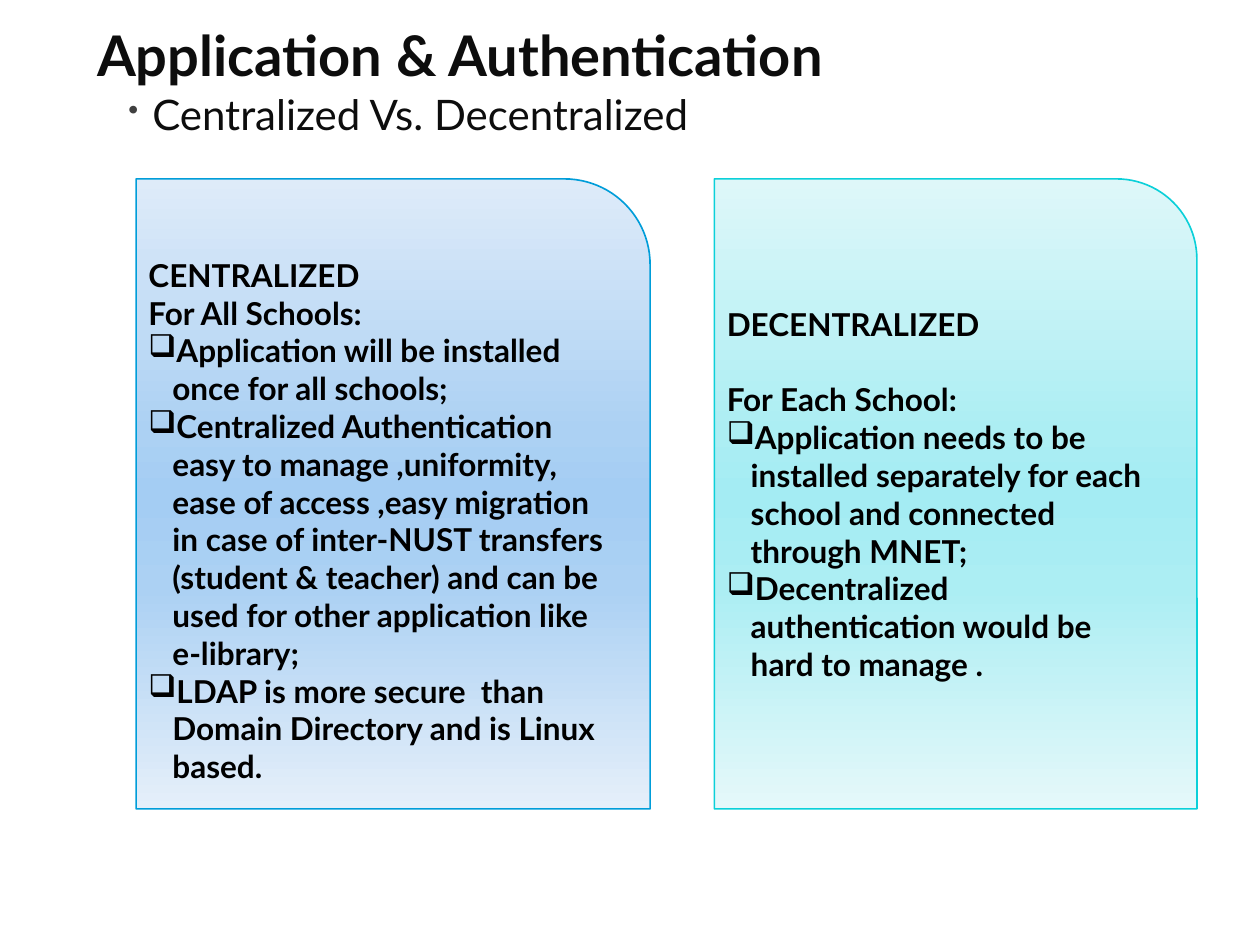
from pptx import Presentation, util as u
from pptx.dml.color import RGBColor
from pptx.enum import shapes, text
from pptx.oxml import parse_xml
from pptx.oxml.ns import nsdecls

TITLE = "Application & Authentication"
TOPIC = "Centralized Vs. Decentralized"
HEX = {"ink": "0D0D0D", "text": "000000", "dot": "404040"}
STOPS = (0, 40, 50, 65, 100)
CARDS = [
    {
        "left": 5.67, "wide": 3.83, "inset": 0.05, "gap": 21.6, "line": "0BD0D9",
        "fade": ("DEF7F9", "ACEEF3", "A4ECF3", "ACEEF3", "E5F8FA"),
        "heads": ("DECENTRALIZED", "For Each School:"),
        "items": (
            "Application needs to be installed separately for each school and connected through MNET;",
            "Decentralized authentication would be hard to manage .",
        ),
    },
    {
        "left": 1.08, "wide": 4.08, "inset": 0.47, "gap": 0, "line": "009DD9",
        "fade": ("DEEBF9", "ACD1F3", "A4CDF3", "ACD1F3", "E5EFFA"),
        "heads": ("CENTRALIZED", "For All Schools:"),
        "items": (
            "Application will be installed once for all schools;",
            "Centralized Authentication easy to manage ,uniformity, ease of access ,easy "
            "migration in case of inter-NUST transfers (student & teacher) and can be used "
            "for other application like e-library;",
            "LDAP is more secure  than Domain Directory and is Linux based.",
        ),
    },
]
TOP, HIGH = 1.42, 5
INDENT = 0.19


def apply(obj, vals):
    for key, val in vals.items():
        setattr(obj, key, val)


def write(para, words, size, ink, bold):
    run = para.add_run()
    run.text = words
    apply(run.font, {"name": "Lato", "size": u.Pt(size), "bold": bold})
    run.font.color.rgb = RGBColor.from_string(HEX[ink])
    para.alignment = text.PP_ALIGN.LEFT


def bullet(para, char, look=()):
    prop = para._p.get_or_add_pPr()
    prop.set("marL", str(u.Inches(INDENT)))
    prop.set("indent", str(-u.Inches(INDENT)))
    for part in (*look, f'<a:buChar {nsdecls("a")} char="{char}"/>'):
        prop.append(parse_xml(part))


def fade(shape, tones):
    stops = "".join(
        f'<a:gs pos="{pos * 1000}"><a:srgbClr val="{tone}"/></a:gs>'
        for pos, tone in zip(STOPS, tones)
    )
    shape.fill.background()
    prop = shape._element.spPr
    grad = parse_xml(
        f'<a:gradFill {nsdecls("a")} rotWithShape="1"><a:gsLst>{stops}</a:gsLst>'
        '<a:lin ang="5400000" scaled="0"/></a:gradFill>'
    )
    prop.replace(prop.find("{*}noFill"), grad)


def card(slide, data):
    box = [u.Inches(n) for n in (data["left"], TOP, data["wide"], HIGH)]
    shape = slide.shapes.add_shape(shapes.MSO_SHAPE.ROUND_1_RECTANGLE, *box)
    shape.shadow.inherit = False
    fade(shape, data["fade"])
    shape.line.color.rgb = RGBColor.from_string(data["line"])
    shape.line.width = u.Pt(0.94)
    frame = shape.text_frame
    apply(frame, {
        "word_wrap": True,
        "vertical_anchor": text.MSO_ANCHOR.MIDDLE,
        "margin_top": u.Inches(data["inset"]),
    })
    heads = data["heads"]
    for num, words in enumerate(heads + data["items"]):
        para = frame.add_paragraph() if num else frame.paragraphs[0]
        if num >= len(heads):
            bullet(para, "❑")
        write(para, words, 18, "text", True)
    frame.paragraphs[1].space_before = u.Pt(data["gap"])


def main():
    deck = Presentation()
    apply(deck, {"slide_width": u.Inches(10), "slide_height": u.Inches(7.5)})
    slide = deck.slides.add_slide(deck.slide_layouts[5])

    title = slide.shapes.title
    apply(title, {"left": u.Inches(0.67), "top": u.Inches(0.08),
                  "width": u.Inches(9), "height": u.Inches(0.7)})
    apply(title.text_frame, {"word_wrap": True, "auto_size": text.MSO_AUTO_SIZE.NONE,
                             "vertical_anchor": text.MSO_ANCHOR.MIDDLE})
    write(title.text_frame.paragraphs[0], TITLE, 32, "ink", True)

    area = [u.Inches(n) for n in (0.92, 0.65, 9.02, 0.5)]
    topic = slide.shapes.add_textbox(*area).text_frame
    topic.word_wrap = True
    para = topic.paragraphs[0]
    bullet(para, "•", (
        f'<a:buClr {nsdecls("a")}><a:srgbClr val="{HEX["dot"]}"/></a:buClr>',
        f'<a:buSzPct {nsdecls("a")} val="70000"/>',
    ))
    write(para, TOPIC, 24, "ink", False)

    for data in CARDS:
        card(slide, data)
    deck.save("out.pptx")


if __name__ == "__main__":
    main()
